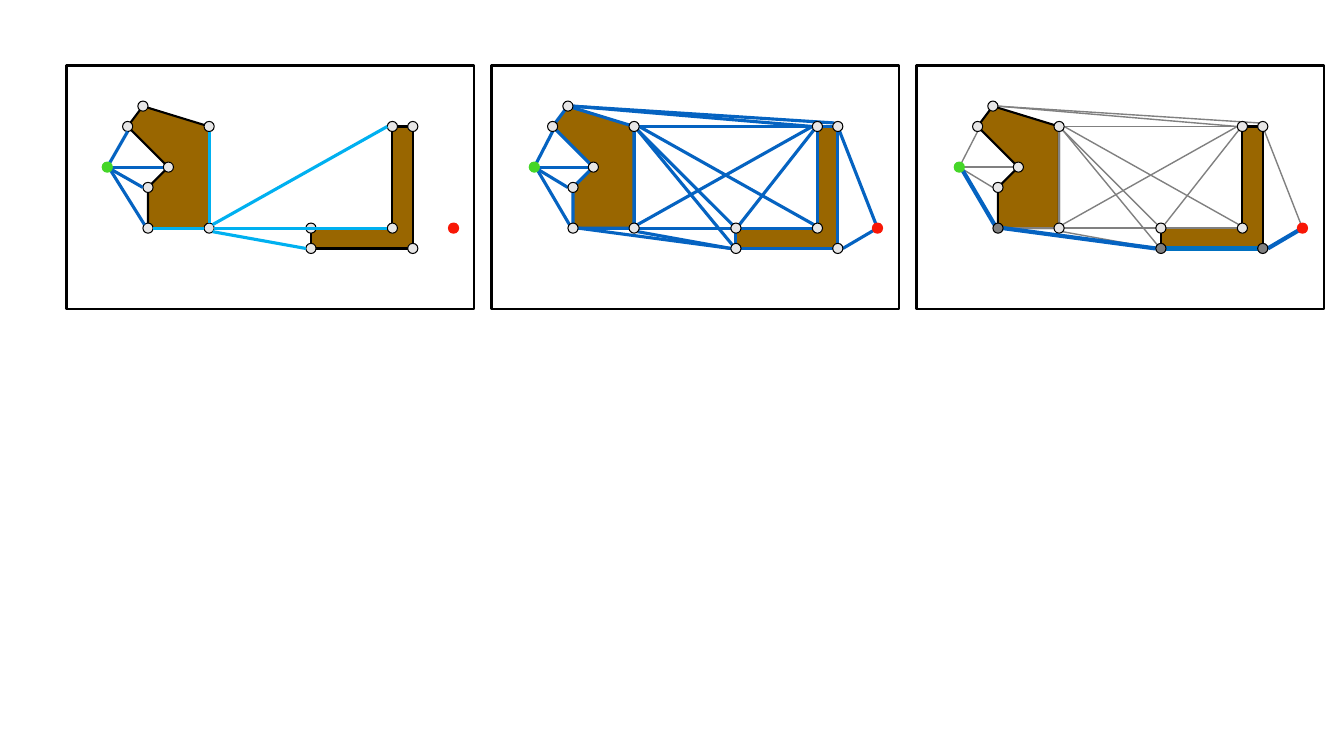
import collections

import pptx
import pptx.dml.color
import pptx.enum.shapes
import pptx.oxml.ns
import pptx.util
from lxml import etree

COLORS = {
    "black": "000000", "obstacle": "996600", "node": "E7E6E6",
    "start": "45D628", "goal": "F81706", "visited": "808080",
    "blue": "0563C1", "sky": "00B0F0", "gray": "808080", "route": "0070C0",
}

SLIDE_WIDTH, SLIDE_HEIGHT = 13.33, 7.5
Box = collections.namedtuple("Box", "left top width height")
PANEL = Box(0.66, 0.65, 4.04, 2.42)
PANEL_STEP = 4.215
COLUMNS, ROWS = 40, 24

# Corners of each obstacle, in columns and rows of a panel
NOTCHED = {
    "left": (6, 6), "notch": (10, 10), "inner": (8, 12), "foot": (8, 16),
    "base": (14, 16), "shoulder": (14, 6), "peak": (7.5, 4),
}
ANGLED = {
    "step": (24, 16), "heel": (24, 18), "corner": (34, 18),
    "top right": (34, 6), "top left": (32, 6), "bend": (32, 16),
}

# Where an edge touches a node, in cells from the node's centre
SITES = {
    "C": (0, 0), "N": (0, -0.5), "S": (0, 0.5), "W": (-0.5, 0), "E": (0.5, 0),
    "NW": (-0.35, -0.35), "NE": (0.35, -0.35),
    "SW": (-0.35, 0.35), "SE": (0.35, 0.35),
}

# Edges: node, site, node, site
FROM_START = [
    ("start", "C", "inner", "W"),
    ("start", "C", "notch", "W"),
    ("start", "C", "left", "S"),
]
START_TO_FOOT = ("start", "SE", "foot", "NW")
FOOT_TO_HEEL = ("foot", "E", "heel", "W")
GOAL_TO_CORNER = ("goal", "C", "corner", "E")
HEEL_TO_CORNER = ("heel", "E", "corner", "W")
FROM_BASE = [
    ("base", "E", "bend", "W"),
    ("base", "E", "step", "W"),
    ("base", "NE", "top left", "W"),
    ("base", "SE", "heel", "W"),
    ("base", "W", "foot", "E"),
    ("base", "N", "shoulder", "S"),
]
ACROSS = [
    ("shoulder", "E", "top left", "W"),
    ("shoulder", "E", "bend", "NW"),
    ("peak", "E", "top left", "W"),
    ("peak", "E", "top right", "NW"),
    ("shoulder", "SE", "step", "NW"),
    ("shoulder", "SE", "heel", "NW"),
    ("top left", "SW", "step", "NE"),
    ("goal", "C", "top right", "C"),
]
UNUSED = FROM_BASE + ACROSS + FROM_START
ROUTE = [START_TO_FOOT, FOOT_TO_HEEL, GOAL_TO_CORNER]

# Each panel: start and goal columns, outline, edge layers, visited nodes
PANELS = [
    dict(start=4, goal=38, outline=("black", 1.5), nodes_first=True,
         layers=[(FROM_BASE, "sky", 2.25),
                 (FROM_START + [START_TO_FOOT], "blue", 2.25)]),
    dict(start=4.2, goal=37.9, outline=("blue", 2.25),
         layers=[(UNUSED + ROUTE, "blue", 2.25)]),
    dict(start=4.2, goal=37.9, outline=("black", 1.5),
         layers=[(UNUSED, "gray", 1), (ROUTE, "blue", 3),
                 ([HEEL_TO_CORNER], "route", 3)],
         visited=("foot", "heel", "corner")),
]


def color(name):
    return pptx.dml.color.RGBColor.from_string(COLORS[name])


def set_line(line, name, width):
    line.color.rgb = color(name)
    line.width = pptx.util.Pt(width)


def paint(shape, fill, line, width):
    shape.shadow.inherit = False
    if fill:
        shape.fill.solid()
        shape.fill.fore_color.rgb = color(fill)
    else:
        shape.fill.background()
    set_line(shape.line, line, width)


def place(box, column, row):
    """Turn a grid position in the box into slide lengths."""
    return (pptx.util.Inches(box.left + column * box.width / COLUMNS),
            pptx.util.Inches(box.top + row * box.height / ROWS))


def draw_obstacle(page, box, corners, outline):
    first, *others = [place(box, *corner) for corner in corners]
    builder = page.shapes.build_freeform(*first, scale=1.0)
    builder.add_line_segments(others, close=True)
    paint(builder.convert_to_shape(), "obstacle", *outline)


def draw_node(page, box, center, fill, line="black"):
    column, row = center
    node = page.shapes.add_shape(
        pptx.enum.shapes.MSO_SHAPE.OVAL, *place(box, column - 0.5, row - 0.5),
        pptx.util.Inches(box.width / COLUMNS),
        pptx.util.Inches(box.height / ROWS))
    paint(node, fill, line, 0.75)


def draw_edge(page, box, nodes, edge, name, width):
    ends = []
    for node, site in (edge[:2], edge[2:]):
        (column, row), (right, down) = nodes[node], SITES[site]
        ends.extend(place(box, column + right, row + down))
    connector = page.shapes.add_connector(
        pptx.enum.shapes.MSO_CONNECTOR.STRAIGHT, *ends)
    set_line(connector.line, name, width)
    etree.SubElement(connector._element.spPr, pptx.oxml.ns.qn("a:effectLst"))


def draw_panel(page, box, start, goal, outline, layers,
               visited=(), nodes_first=False):
    # Frame
    frame = page.shapes.add_shape(
        pptx.enum.shapes.MSO_SHAPE.RECTANGLE,
        *[pptx.util.Inches(length) for length in box])
    paint(frame, None, "black", 1.5)

    # Obstacles
    for obstacle in (NOTCHED, ANGLED):
        draw_obstacle(page, box, obstacle.values(), outline)

    # Edges and corner nodes
    corners = {**NOTCHED, **ANGLED}
    nodes = {**corners, "start": (start, 10), "goal": (goal, 16)}

    def draw_corners():
        for name, center in corners.items():
            draw_node(page, box, center,
                      "visited" if name in visited else "node")

    if nodes_first:
        draw_corners()
    for edges, name, width in layers:
        for edge in edges:
            draw_edge(page, box, nodes, edge, name, width)
    if not nodes_first:
        draw_corners()

    # Start and goal
    for end in ("start", "goal"):
        draw_node(page, box, nodes[end], end, end)


def main():
    deck = pptx.Presentation()
    deck.slide_width = pptx.util.Inches(SLIDE_WIDTH)
    deck.slide_height = pptx.util.Inches(SLIDE_HEIGHT)
    page = deck.slides.add_slide(deck.slide_layouts[6])
    for index, panel in enumerate(PANELS):
        box = PANEL._replace(left=PANEL.left + index * PANEL_STEP)
        draw_panel(page, box, **panel)
    deck.save("out.pptx")


if __name__ == "__main__":
    main()
